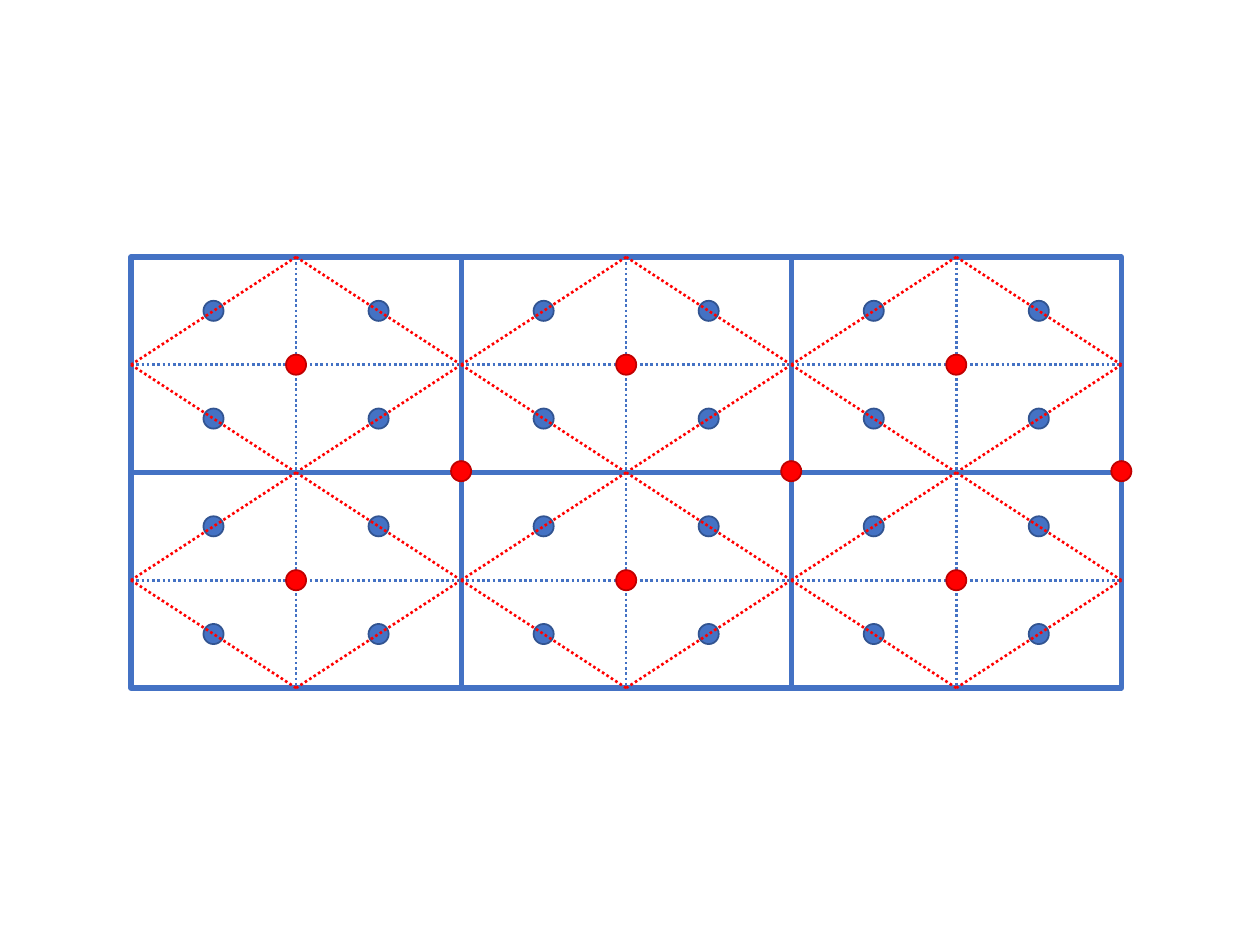
from itertools import product

from lxml.etree import SubElement
from pptx import Presentation
from pptx.dml.color import RGBColor
from pptx.enum.dml import MSO_LINE
from pptx.enum.shapes import MSO_CONNECTOR, MSO_SHAPE
from pptx.oxml.ns import qn
from pptx.util import Inches, Pt

BLUE = RGBColor(0x44, 0x72, 0xC4)
DARK_BLUE = RGBColor(0x32, 0x54, 0x91)
RED = RGBColor(0xFF, 0x00, 0x00)
DARK_RED = RGBColor(0xC0, 0x00, 0x00)

COLUMNS, ROWS = 3, 2
GRID_LEFT, GRID_TOP = Inches(1.04), Inches(2.04)
CELL_WIDTH, CELL_HEIGHT = Inches(2.62), Inches(1.71)
DOT_SIZE = Inches(0.16)


def add_dot(page, center, fill, outline):
    """Draw a round dot around a center point."""
    left, top = (int(value - DOT_SIZE / 2) for value in center)
    dot = page.shapes.add_shape(MSO_SHAPE.OVAL, left, top, DOT_SIZE, DOT_SIZE)
    dot.shadow.inherit = False
    dot.fill.solid()
    dot.fill.fore_color.rgb = fill
    dot.line.color.rgb = outline
    dot.line.width = Pt(1)


def add_dotted_line(page, start, end, color):
    """Draw a dotted line between two points."""
    connector = page.shapes.add_connector(MSO_CONNECTOR.STRAIGHT, *start, *end)
    connector.line.color.rgb = color
    connector.line.width = Pt(1.5)
    connector.line.dash_style = MSO_LINE.ROUND_DOT
    properties = connector._element.spPr
    properties.find(".//" + qn("a:prstDash")).set("val", "sysDot")
    SubElement(properties, qn("a:effectLst"))


def add_cell(page, left, top, width, height):
    """Draw one framed cell with its axes, rhombus and dots."""

    def point(across, down):
        return int(left + across * width), int(top + down * height)

    for down, across in product((0.75, 0.25), (0.25, 0.75)):
        add_dot(page, point(across, down), BLUE, DARK_BLUE)

    frame = page.shapes.add_shape(MSO_SHAPE.RECTANGLE, left, top, width, height)
    frame.shadow.inherit = False
    frame.fill.background()
    frame.line.color.rgb = BLUE
    frame.line.width = Pt(3)

    north, south = point(0.5, 0), point(0.5, 1)
    west, east = point(0, 0.5), point(1, 0.5)
    add_dotted_line(page, west, east, BLUE)
    add_dotted_line(page, north, south, BLUE)
    for start, end in ((north, west), (north, east), (east, south), (west, south)):
        add_dotted_line(page, start, end, RED)
    add_dot(page, point(0.5, 0.5), RED, DARK_RED)


def add_grid(page, left, top, cell_width, cell_height):
    """Draw all cells, then the red dots on the inner row border."""
    for column, row in product(range(COLUMNS), range(ROWS)):
        add_cell(page, left + column * cell_width, top + row * cell_height,
                 cell_width, cell_height)
    for column in range(1, COLUMNS + 1):
        junction = left + column * cell_width, top + cell_height - Inches(0.01)
        add_dot(page, junction, RED, DARK_RED)


deck = Presentation()
deck.slide_width, deck.slide_height = Inches(10), Inches(7.5)
page = deck.slides.add_slide(deck.slide_layouts[6])
add_grid(page, GRID_LEFT, GRID_TOP, CELL_WIDTH, CELL_HEIGHT)
deck.save("out.pptx")
